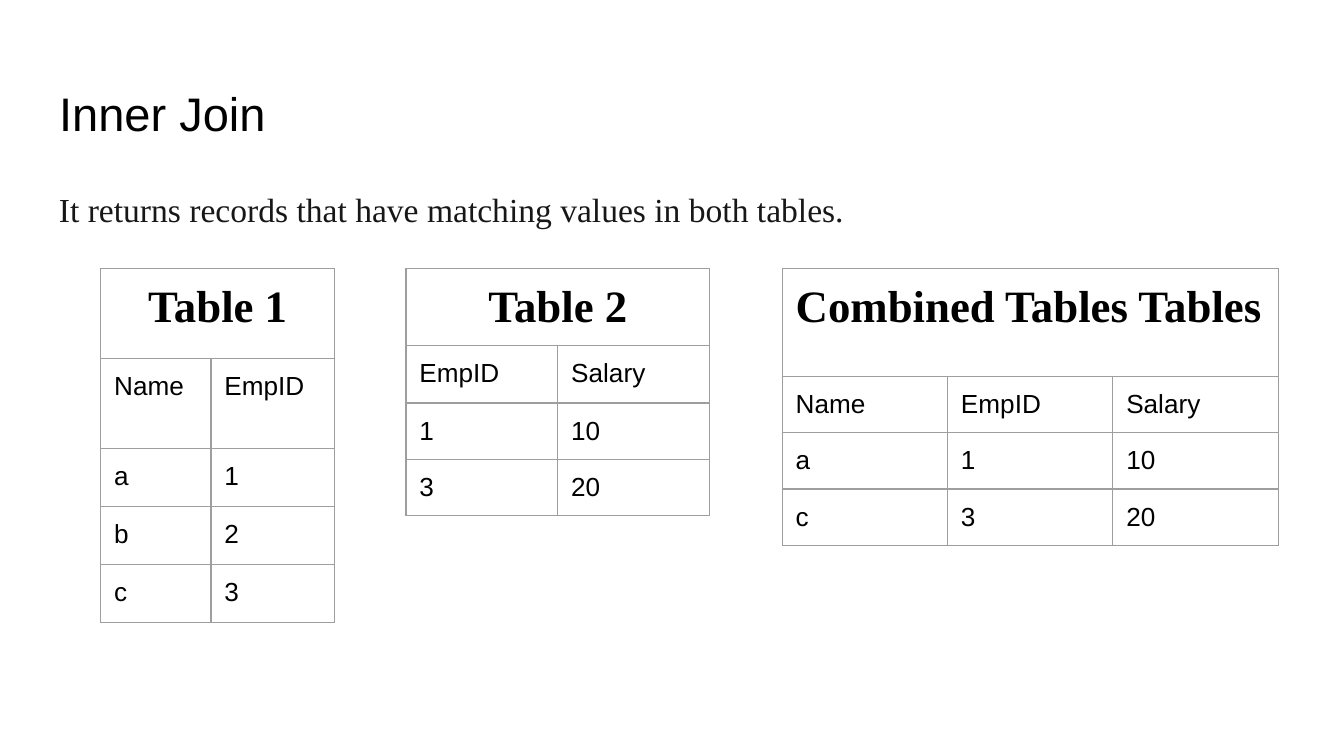
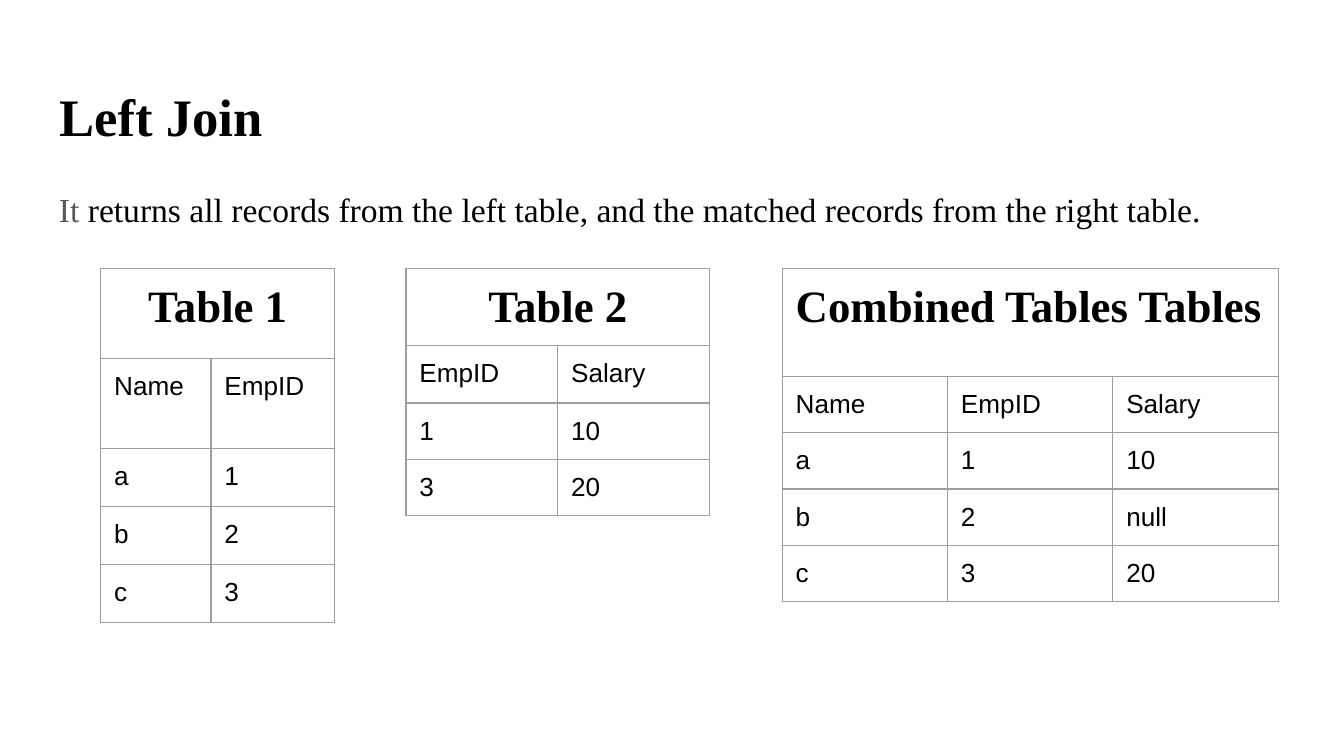
from dataclasses import dataclass

from lxml.etree import SubElement
from pptx import Presentation
from pptx.dml.color import RGBColor
from pptx.enum.text import MSO_ANCHOR as Anchor
from pptx.enum.text import MSO_AUTO_SIZE as AutoSize
from pptx.enum.text import PP_ALIGN as Align
from pptx.oxml.ns import qn
from pptx.util import Emu, Pt

PX = 4572  # EMU in one px, 200 px to the inch
PAGE_WIDTH, PAGE_HEIGHT = 2000, 1125
MARGIN, TEXT_WIDTH = 68, 1864
INSET = 20
TABLE_TOP = 400
TITLE_ONLY = 5

BLACK = RGBColor(0x00, 0x00, 0x00)
INK = RGBColor(0x17, 0x17, 0x17)
GREY = RGBColor(0x59, 0x59, 0x59)
BORDER = RGBColor(0x9E, 0x9E, 0x9E)
SANS, SERIF = "Arial", "Times New Roman"


@dataclass(frozen=True)
class Span:
    text: str
    size: float
    font: str
    color: RGBColor = BLACK
    bold: bool = False


@dataclass(frozen=True)
class Grid:
    heading: str
    left: int
    columns: tuple[int, ...]
    heights: tuple[int, ...]
    records: tuple[tuple[str, ...], ...]
    align: Align = Align.CENTER


@dataclass(frozen=True)
class JoinPage:
    title: Span
    summary: tuple[Span, ...]
    combined: tuple[tuple[str, ...], ...]


EMPLOYEES = Grid(
    "Table 1", 150, (164, 184), (134, 134, 86, 86, 86),
    (("Name", "EmpID"), ("a", "1"), ("b", "2"), ("c", "3")),
)
SALARIES = Grid(
    "Table 2", 604, (226, 226), (86, 86, 84, 84),
    (("EmpID", "Salary"), ("1", "10"), ("3", "20")),
)

PAGES = (
    JoinPage(
        Span("Inner Join", 25.2, SANS),
        (Span("It returns records that have matching values in both tables.",
              18, SERIF, INK),),
        (("a", "1", "10"), ("c", "3", "20")),
    ),
    JoinPage(
        Span("Left Join", 28.2, SERIF, bold=True),
        (Span("It ", 18, SERIF, GREY),
         Span("returns all records from the left table, "
              "and the matched records from the right table.", 18, SERIF)),
        (("a", "1", "10"), ("b", "2", "null"), ("c", "3", "20")),
    ),
)


def px(length: int) -> Emu:
    return Emu(length * PX)


def combined_grid(records: tuple[tuple[str, ...], ...]) -> Grid:
    rows = (("Name", "EmpID", "Salary"), *records)
    return Grid("Combined Tables Tables", 1164, (246,) * 3,
                (160,) + (74,) * len(rows), rows, Align.LEFT)


def add_span(para, span: Span) -> None:
    run = para.add_run()
    run.text = span.text
    run.font.size = Pt(span.size)
    run.font.name = span.font
    run.font.bold = span.bold
    run.font.color.rgb = span.color


def set_insets(target, top: int = INSET) -> None:
    """Set the margins of a text frame or a table cell."""
    target.margin_left = target.margin_right = target.margin_bottom = px(INSET)
    target.margin_top = px(top)


def prepare_frame(box, top_inset: int = INSET):
    frame = box.text_frame
    frame.word_wrap = True
    frame.auto_size = AutoSize.NONE
    frame.vertical_anchor = Anchor.TOP
    set_insets(frame, top_inset)
    return frame


def add_title(page, span: Span) -> None:
    box = page.shapes.title
    box.left, box.top = px(MARGIN), px(98)
    box.width, box.height = px(TEXT_WIDTH), px(126)
    para = prepare_frame(box, 27).paragraphs[0]
    para.alignment = Align.LEFT
    add_span(para, span)


def add_summary(page, spans: tuple[Span, ...]) -> None:
    box = page.shapes.add_textbox(px(MARGIN), px(252), px(TEXT_WIDTH), px(748))
    para = prepare_frame(box).paragraphs[0]
    para.line_spacing = 1.15
    for span in spans:
        add_span(para, span)


def style_cell(cell) -> None:
    """Give the cell thin borders on every side and no fill."""
    set_insets(cell)
    properties = cell._tc.get_or_add_tcPr()
    for side in ("a:lnL", "a:lnR", "a:lnT", "a:lnB"):
        line = SubElement(properties, qn(side), w=str(Pt(0.75)))
        fill = SubElement(line, qn("a:solidFill"))
        SubElement(fill, qn("a:srgbClr"), val=str(BORDER))
    cell.fill.background()


def add_grid(page, grid: Grid) -> None:
    table = page.shapes.add_table(
        len(grid.heights), len(grid.columns), px(grid.left), px(TABLE_TOP),
        px(sum(grid.columns)), px(sum(grid.heights)),
    ).table
    table.first_row = table.horz_banding = False
    for column, width in zip(table.columns, grid.columns):
        column.width = px(width)
    for row, height in zip(table.rows, grid.heights):
        row.height = px(height)
    for cell in table.iter_cells():
        style_cell(cell)

    heading = table.cell(0, 0)
    heading.merge(table.cell(0, len(grid.columns) - 1))
    para = heading.text_frame.paragraphs[0]
    para.alignment = grid.align
    add_span(para, Span(grid.heading, 24, SERIF, bold=True))

    for row, record in enumerate(grid.records, start=1):
        for column, value in enumerate(record):
            para = table.cell(row, column).text_frame.paragraphs[0]
            add_span(para, Span(value, 14, SANS))


def main() -> None:
    deck = Presentation()
    deck.slide_width, deck.slide_height = px(PAGE_WIDTH), px(PAGE_HEIGHT)
    for join in PAGES:
        page = deck.slides.add_slide(deck.slide_layouts[TITLE_ONLY])
        add_title(page, join.title)
        add_summary(page, join.summary)
        for grid in (EMPLOYEES, SALARIES, combined_grid(join.combined)):
            add_grid(page, grid)
    deck.save("out.pptx")


if __name__ == "__main__":
    main()
